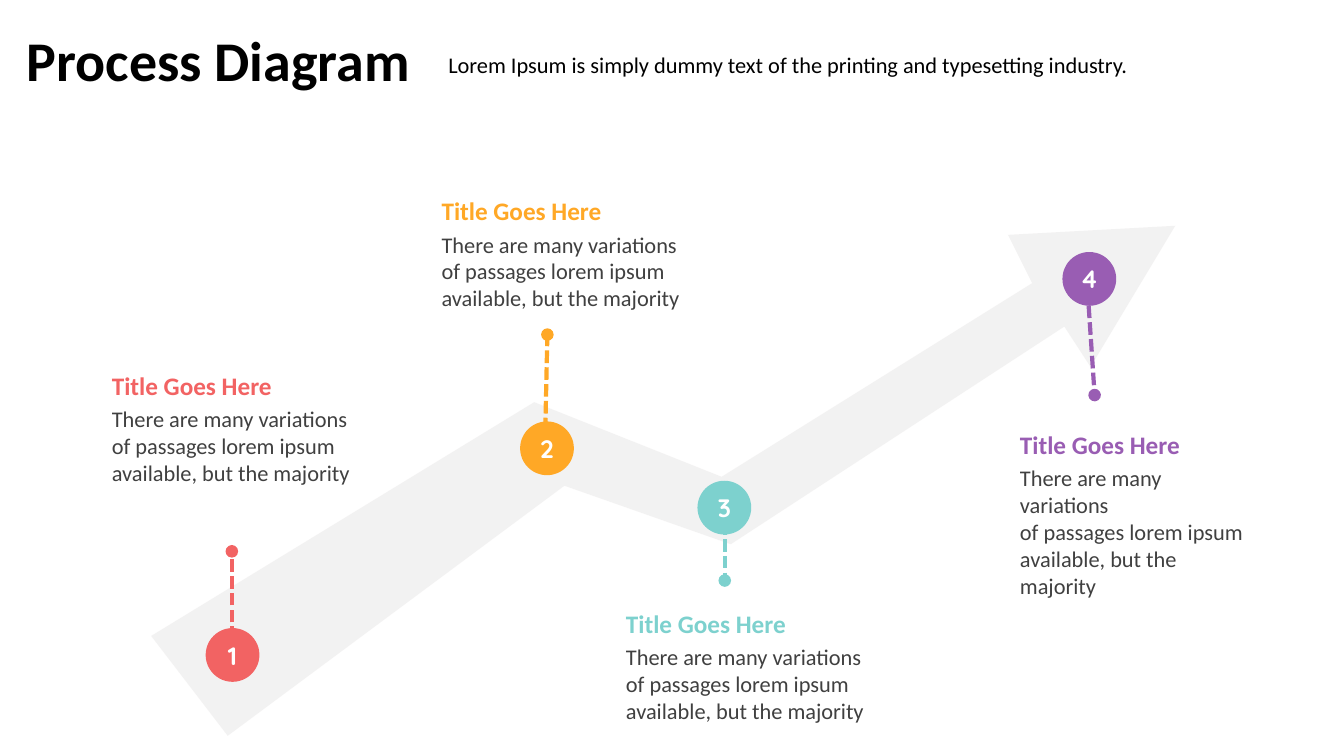
from collections import namedtuple

from lxml import etree
from pptx import Presentation
from pptx.dml.color import RGBColor
from pptx.enum.dml import MSO_LINE
from pptx.enum.shapes import MSO_CONNECTOR, MSO_SHAPE
from pptx.enum.text import MSO_ANCHOR, MSO_AUTO_SIZE, PP_ALIGN
from pptx.oxml.ns import qn
from pptx.util import Pt

BLACK = RGBColor(0x00, 0x00, 0x00)
WHITE = RGBColor(0xFF, 0xFF, 0xFF)
BODY_GRAY = RGBColor(0x40, 0x40, 0x40)
ARROW_GRAY = RGBColor(0xE7, 0xE6, 0xE6)
RED = RGBColor(0xF2, 0x63, 0x63)
ORANGE = RGBColor(0xFF, 0xA8, 0x26)
TEAL = RGBColor(0x7D, 0xD1, 0xCE)
PURPLE = RGBColor(0x99, 0x5D, 0xB3)

MARKER_SIZE = 38.4
CAPTION_TITLE = "Title Goes Here"
CAPTION_BODY = "There are many variations\vof passages lorem ipsum available, but the majority"

ARROW_OUTLINE = [
    (0, 293), (273.6, 126), (407.5, 179.3), (629.3, 41), (612, 6.5), (731.5, 0),
    (671, 100.8), (652.3, 72), (414, 227.5), (295.2, 185.7), (54.7, 364.3),
]

Step = namedtuple("Step", "color marker stem caption")
STEPS = [
    Step(RED, (146.9, 448.6), (165.6, 456.5, 165.6, 393.8), (79.9, 264.2, 179.3, 83.5)),
    Step(ORANGE, (371.5, 301), (389.5, 307.4, 391, 239), (315.4, 139.7, 179.3, 83.5)),
    Step(TEAL, (498.2, 343.4), (517.7, 373, 517.7, 414.7), (447.1, 434.2, 179.3, 83.5)),
    Step(PURPLE, (758.9, 180), (777.6, 218.2, 781.9, 282.2), (728.6, 306.7, 162.7, 122.4)),
]


def set_font(paragraph, name, size, color, bold=False):
    paragraph.font.name = name
    paragraph.font.size = Pt(size)
    paragraph.font.color.rgb = color
    paragraph.font.bold = bold


def add_text_frame(slide, box, wrap):
    text_box = slide.shapes.add_textbox(*map(Pt, box))
    frame = text_box.text_frame
    frame.word_wrap = wrap
    frame.auto_size = MSO_AUTO_SIZE.SHAPE_TO_FIT_TEXT
    return frame


def add_header(slide, left, top):
    title = add_text_frame(slide, (left, top, 290.9, 55.4), False).paragraphs[0]
    title.text = "Process Diagram"
    set_font(title, "Calibri", 40, BLACK, True)

    subtitle_box = (left + 291.6, top + 18.7, 518.4, 26.6)
    subtitle = add_text_frame(slide, subtitle_box, True).paragraphs[0]
    subtitle.text = "Lorem Ipsum is simply dummy text of the printing and typesetting industry."
    subtitle.alignment = PP_ALIGN.CENTER
    set_font(subtitle, "Calibri", 16, BLACK)


def add_trend_arrow(slide, left, top):
    points = [(Pt(left + x), Pt(top + y)) for x, y in ARROW_OUTLINE]
    builder = slide.shapes.build_freeform(*points[0])
    builder.add_line_segments(points[1:], close=True)
    arrow = builder.convert_to_shape()
    arrow.shadow.inherit = False
    arrow.fill.solid()
    arrow.fill.fore_color.rgb = ARROW_GRAY
    color = arrow.fill._xPr.find(qn("a:solidFill"))[0]
    etree.SubElement(color, qn("a:alpha"), val="50000")
    arrow.line.fill.background()


def add_marker(slide, position, number, color):
    left, top = map(Pt, position)
    marker = slide.shapes.add_shape(
        MSO_SHAPE.OVAL, left, top, Pt(MARKER_SIZE), Pt(MARKER_SIZE))
    marker.shadow.inherit = False
    marker.fill.solid()
    marker.fill.fore_color.rgb = color
    marker.line.fill.background()
    marker.text_frame.vertical_anchor = MSO_ANCHOR.MIDDLE
    paragraph = marker.text_frame.paragraphs[0]
    paragraph.text = str(number)
    paragraph.alignment = PP_ALIGN.CENTER
    set_font(paragraph, "Quicksand", 18, WHITE, True)


def add_caption(slide, box, color):
    frame = add_text_frame(slide, box, True)
    frame.margin_left = frame.margin_top = frame.margin_right = frame.margin_bottom = 0
    title = frame.paragraphs[0]
    title.text = CAPTION_TITLE
    set_font(title, "Calibri", 18, color, True)
    body = frame.add_paragraph()
    body.text = CAPTION_BODY
    body.space_before = Pt(3.5)
    set_font(body, "Calibri", 16, BODY_GRAY)


def add_stem(slide, ends, color):
    stem = slide.shapes.add_connector(MSO_CONNECTOR.STRAIGHT, *map(Pt, ends))
    stem.line.color.rgb = color
    stem.line.width = Pt(3)
    stem.line.dash_style = MSO_LINE.SQUARE_DOT
    properties = stem._element.spPr
    etree.SubElement(properties.find(qn("a:ln")), qn("a:tailEnd"), type="oval")
    etree.SubElement(properties, qn("a:effectLst"))


def main():
    """Build the process diagram slide and save it."""
    presentation = Presentation()
    presentation.slide_width = Pt(960)
    presentation.slide_height = Pt(540)
    slide = presentation.slides.add_slide(presentation.slide_layouts[6])

    add_header(slide, 12.2, 14.4)
    add_trend_arrow(slide, 108, 161.3)
    for number, step in enumerate(STEPS, start=1):
        add_marker(slide, step.marker, number, step.color)
        add_caption(slide, step.caption, step.color)
        add_stem(slide, step.stem, step.color)

    presentation.save("out.pptx")


if __name__ == "__main__":
    main()
